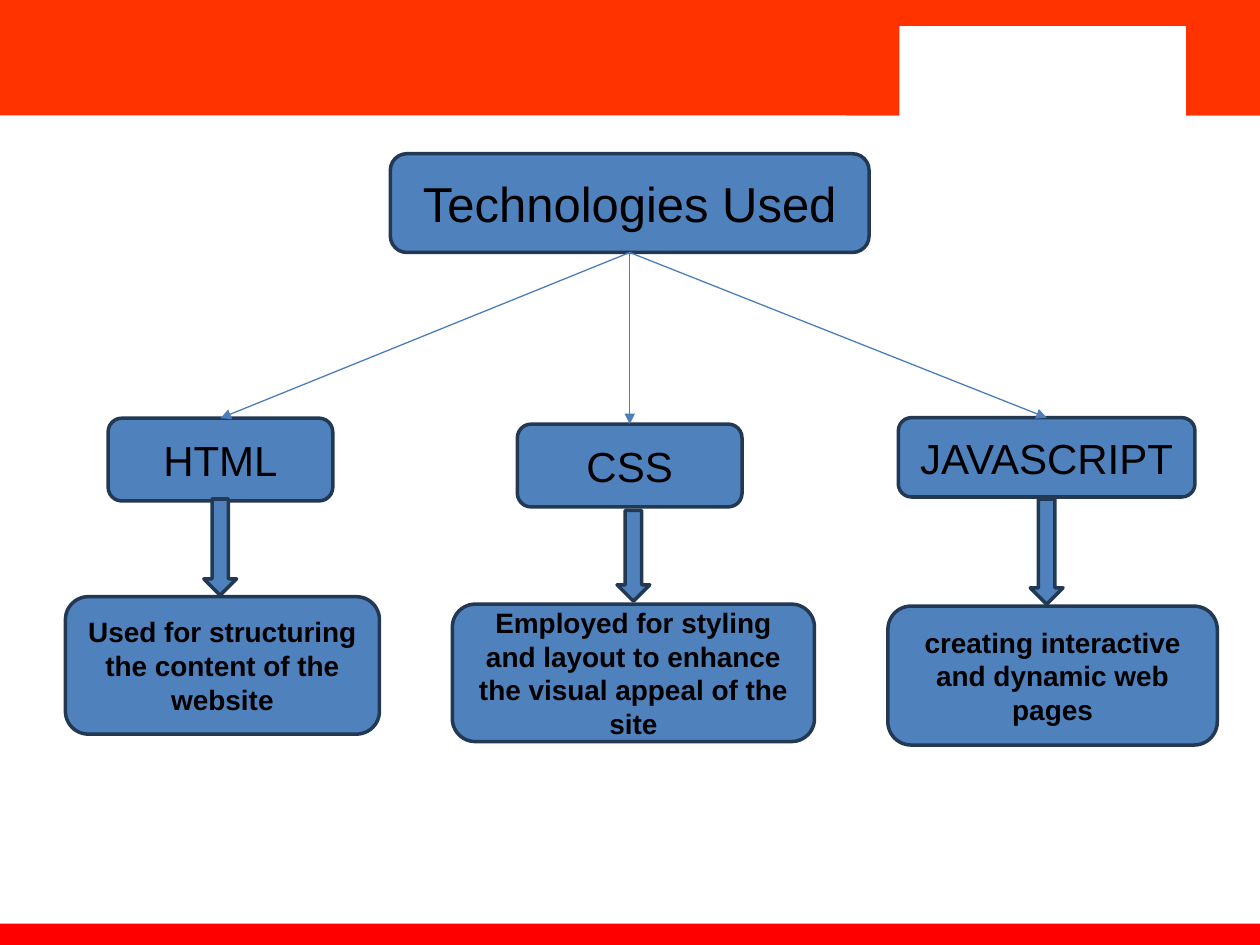
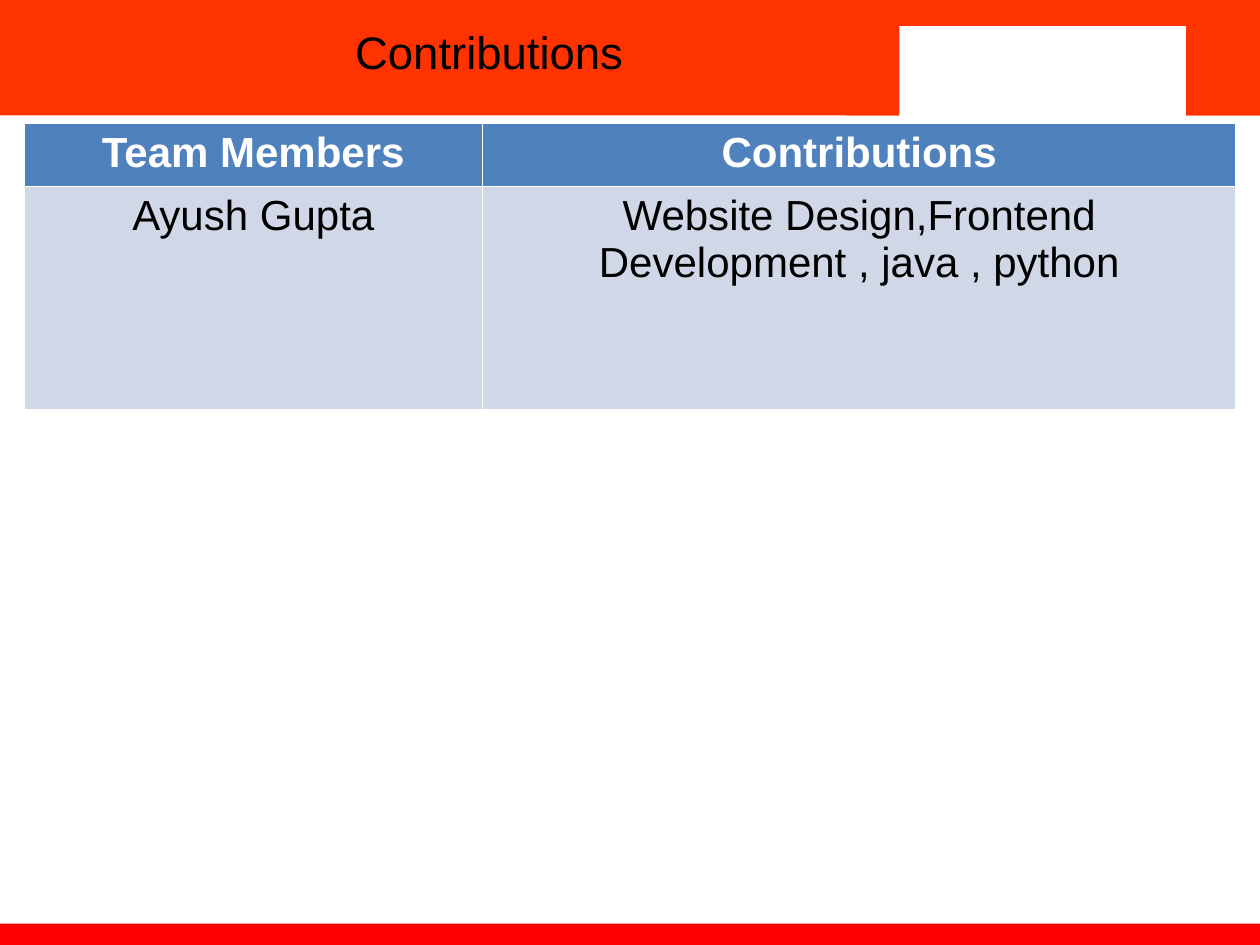
from pptx import Presentation
from pptx.dml.color import RGBColor
from pptx.enum.shapes import MSO_CONNECTOR, MSO_SHAPE
from pptx.enum.text import MSO_ANCHOR, PP_ALIGN
from pptx.oxml.ns import qn
from pptx.util import Cm, Pt
from lxml.etree import SubElement

ORANGE = RGBColor(0xFF, 0x33, 0x00)
RED = RGBColor(0xFF, 0x00, 0x00)
WHITE = RGBColor(0xFF, 0xFF, 0xFF)
BLACK = RGBColor(0x00, 0x00, 0x00)
BLUE = RGBColor(0x4F, 0x81, 0xBD)
NAVY = RGBColor(0x23, 0x39, 0x53)
ARROW_BLUE = RGBColor(0x4B, 0x7E, 0xBC)
PALE_BLUE = RGBColor(0xD0, 0xD8, 0xE8)
FONT = "Arial"


def write(frame, text, size, bold=False, color=BLACK):
    """Put one centred run into a text frame."""
    frame.word_wrap = True
    paragraph = frame.paragraphs[0]
    paragraph.alignment = PP_ALIGN.CENTER
    run = paragraph.add_run()
    run.text = text
    run.font.name = FONT
    run.font.size = Pt(size)
    run.font.bold = bold
    run.font.color.rgb = color


def add_block(slide, kind, box, fill, outline=None):
    """Add a flat preset shape; box is left, top, width, height in cm."""
    block = slide.shapes.add_shape(kind, *(Cm(length) for length in box))
    block.shadow.inherit = False
    block.fill.solid()
    block.fill.fore_color.rgb = fill
    if outline is None:
        block.line.fill.background()
    else:
        block.line.color.rgb = outline
        block.line.width = Pt(2)
    block.text_frame.vertical_anchor = MSO_ANCHOR.MIDDLE
    return block


prs = Presentation()
prs.slide_width, prs.slide_height = Cm(25.4), Cm(19.05)
blank = prs.slide_layouts[6]
technologies = prs.slides.add_slide(blank)
contributions = prs.slides.add_slide(blank)

# Bands shared by both slides
bands = [
    ((0, 0, 25.4, 2.33), ORANGE),
    ((0, 18.62, 25.4, 0.43), RED),
    ((17.07, 0, 8.33, 2.33), ORANGE),
    ((18.13, 0.53, 5.78, 1.9), WHITE),
]
for slide in (technologies, contributions):
    for box, color in bands:
        add_block(slide, MSO_SHAPE.RECTANGLE, box, color)

# Technologies: one root, three branches
root = add_block(technologies, MSO_SHAPE.ROUNDED_RECTANGLE,
                 (7.87, 3.1, 9.65, 1.99), BLUE, NAVY)
write(root.text_frame, "Technologies Used", 28)

# Name, its box, down arrow, purpose, its box
branches = [
    ("HTML", (2.18, 8.43, 4.53, 1.67), (4.11, 10.06, 0.66, 1.94),
     "Used for structuring the content of the website",
     (1.32, 12.03, 6.33, 2.77)),
    ("CSS", (10.43, 8.55, 4.53, 1.67), (12.44, 10.29, 0.66, 1.83),
     "Employed for styling and layout to enhance the visual appeal of the site",
     (9.12, 12.18, 7.3, 2.77)),
    ("JAVASCRIPT", (18.11, 8.42, 5.98, 1.6), (20.77, 10.06, 0.66, 2.12),
     "creating interactive and dynamic web pages",
     (17.9, 12.22, 6.64, 2.8)),
]
for name, name_box, arrow_box, purpose, purpose_box in branches:
    language = add_block(technologies, MSO_SHAPE.ROUNDED_RECTANGLE,
                         name_box, BLUE, NAVY)
    write(language.text_frame, name, 24)

    link = technologies.shapes.add_connector(MSO_CONNECTOR.STRAIGHT, 0, 0, 0, 0)
    link.begin_connect(root, 2)
    link.end_connect(language, 0)
    link.line.color.rgb = ARROW_BLUE
    link.line.width = Pt(0.75)
    SubElement(link.line._get_or_add_ln(), qn("a:tailEnd"), type="triangle")
    SubElement(link._element.spPr, qn("a:effectLst"))

    add_block(technologies, MSO_SHAPE.DOWN_ARROW, arrow_box, BLUE, NAVY)
    description = add_block(technologies, MSO_SHAPE.FLOWCHART_ALTERNATE_PROCESS,
                            purpose_box, BLUE, NAVY)
    write(description.text_frame, purpose, 16, bold=True)

# Contributions: heading and table
heading = contributions.shapes.add_textbox(Cm(2.03), Cm(0.36), Cm(15.67), Cm(1.47))
write(heading.text_frame, "Contributions", 26)

members = [
    ("Team Members", "Contributions"),
    ("Ayush Gupta", "Website Design,Frontend Development , java , python"),
]
column_widths = (9.25, 15.18)
row_heights = (1.2, 4.5)
table = contributions.shapes.add_table(
    len(members), len(column_widths), Cm(0.48), Cm(2.49),
    Cm(sum(column_widths)), Cm(sum(row_heights))).table
for column, width in zip(table.columns, column_widths):
    column.width = Cm(width)
for r, (entries, height) in enumerate(zip(members, row_heights)):
    table.rows[r].height = Cm(height)
    is_header = r == 0
    for c, entry in enumerate(entries):
        cell = table.cell(r, c)
        cell.fill.solid()
        cell.fill.fore_color.rgb = BLUE if is_header else PALE_BLUE
        write(cell.text_frame, entry, 24, is_header, WHITE if is_header else BLACK)

prs.save("out.pptx")
